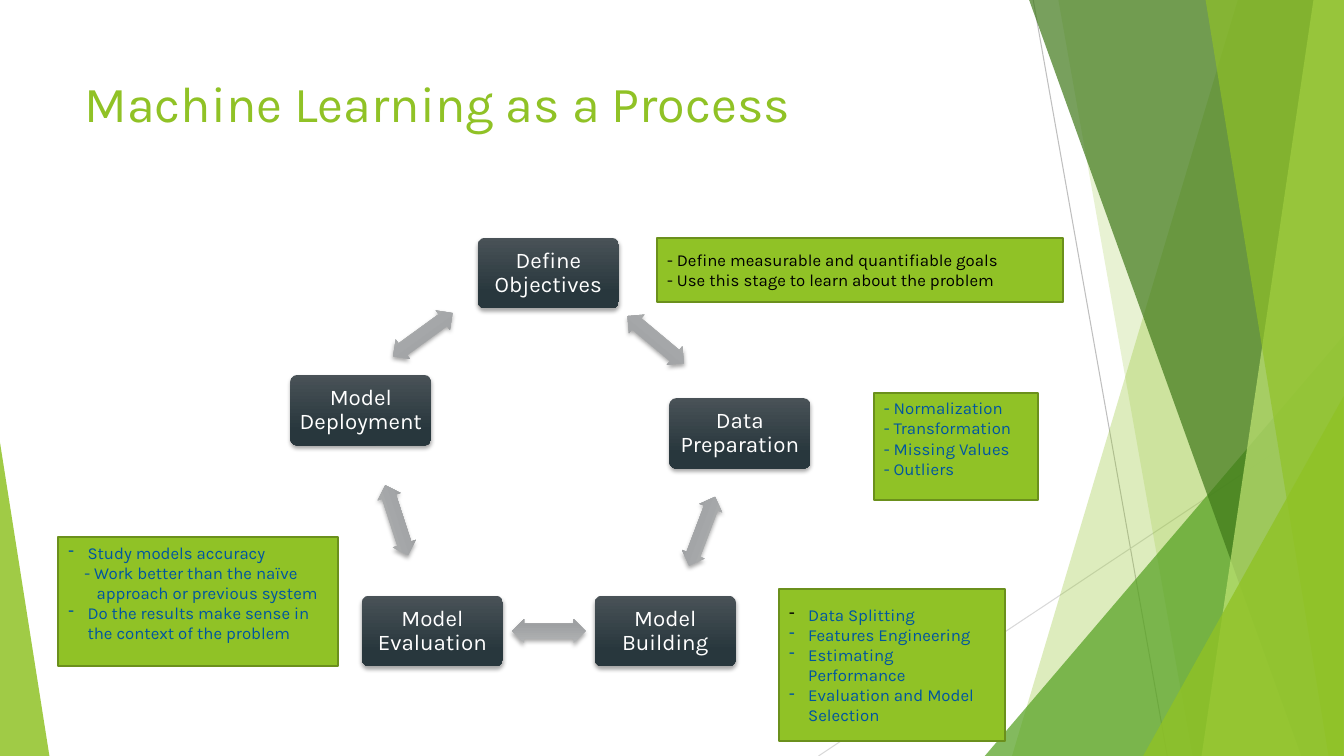
"""Build a slide on machine learning as a five-step cycle."""
from typing import NamedTuple

from lxml.etree import SubElement as Sub
from pptx import Presentation as Deck
from pptx.dml.color import RGBColor as Rgb
from pptx.enum.shapes import MSO_CONNECTOR as Link, MSO_SHAPE as Kind
from pptx.enum.text import MSO_ANCHOR as Anchor, PP_ALIGN as Align
from pptx.oxml.ns import qn
from pptx.util import Inches, Pt

COLS, ROWS = 133.33, 75
HUES = {
    "lime": "90C226", "leaf": "54A021", "moss": "3F7819", "pale": "C0E474",
    "edge": "6B901C", "blue": "0055A0", "black": "000000", "white": "FFFFFF",
    "slate": "495257", "ink": "28373D", "fog": "B1B3B4", "ash": "9EA0A2",
    "line": "BFBFBF", "faint": "D9D9D9",
}


class Box(NamedTuple):
    x: float
    y: float
    w: float
    h: float


class Ray(NamedTuple):
    x: float
    y: float
    end: float
    foot: float
    hue: str


class Sheet(NamedTuple):
    top: float
    foot: float
    hue: str
    share: int


class Wedge(NamedTuple):
    box: Box
    apex: float
    hue: str
    share: int


class Step(NamedTuple):
    text: str
    x: float
    y: float


class Arrow(NamedTuple):
    x: float
    y: float
    turn: float


class Line(NamedTuple):
    text: str
    hue: str = "blue"
    mark: str = ""
    left: float = 0


class Note(NamedTuple):
    box: Box
    anchor: Anchor
    lines: list[Line]


RAYS = [
    Ray(102.5, 0, 115.8, ROWS, "line"),
    Ray(COLS, 40.3, 81.2, ROWS, "faint"),
]
FACETS = [
    Sheet(122.8, 100.4, "lime", 30),
    Sheet(105, 118.3, "lime", 20),
    Wedge(Box(97.7, 33.3, 35.6, 41.7), 1, "leaf", 72),
    Sheet(102.1, 129.1, "moss", 70),
    Sheet(130.3, 119.2, "pale", 70),
    Sheet(119.6, 131.8, "lime", 65),
    Wedge(Box(113.4, 39.3, 19.9, 35.7), 1, "lime", 80),
    Wedge(Box(0, 43.9, 4.9, 31.1), 0, "lime", 85),
]
STEPS = [
    Step("Define Objectives", 47.4, 23.6),
    Step("Data Preparation", 66.4, 39.5),
    Step("Model Building", 59, 59.1),
    Step("Model Evaluation", 35.9, 59.1),
    Step("Model Deployment", 28.8, 37.2),
]
ARROWS = [
    Arrow(61.4, 32.5, 39.9),
    Arrow(66, 51.5, 110.7),
    Arrow(50.8, 61.4, 180),
    Arrow(35.7, 50.4, 252),
    Arrow(38.3, 32, 324),
]
NOTES = [
    Note(Box(65.2, 23.6, 40.3, 6.4), Anchor.MIDDLE, [
        Line("- Define measurable and quantifiable goals", "black"),
        Line("- Use this stage to learn about the problem", "black"),
    ]),
    Note(Box(86.7, 39, 16.3, 10.6), Anchor.TOP, [
        Line("- Normalization"),
        Line("- Transformation"),
        Line("- Missing Values"),
        Line("- Outliers"),
    ]),
    Note(Box(77.3, 58.4, 22.4, 15.1), Anchor.MIDDLE, [
        Line("Data Splitting", mark="black"),
        Line("Features Engineering", mark="blue"),
        Line("Estimating Performance", mark="blue"),
        Line("Evaluation and Model Selection", mark="blue"),
    ]),
    Note(Box(5.8, 53.3, 27.7, 12.8), Anchor.TOP, [
        Line("Study models accuracy", mark="blue"),
        Line("- Work better than the naïve", left=1.6),
        Line("approach or previous system", left=2.8),
        Line("Do the results make sense in the context of the problem", mark="blue"),
    ]),
]


def cell(span: float) -> int:
    return Inches(span / 10)


def tint(name: str) -> Rgb:
    return Rgb.from_string(HUES[name])


def fit(box: Box) -> list[int]:
    return [cell(side) for side in box]


def shape(page, kind: Kind, box: Box):
    item = page.shapes.add_shape(kind, *fit(box))
    item.shadow.inherit = False
    item.line.fill.background()
    return item


def write(para, text: str, size: float, hue: str) -> None:
    run = para.add_run()
    run.text = text
    for key, val in {"name": "Karla", "size": Pt(size), "bold": False}.items():
        setattr(run.font, key, val)
    run.font.color.rgb = tint(hue)


def glaze(item, hue: str, share: int) -> None:
    item.fill.solid()
    item.fill.fore_color.rgb = tint(hue)
    color = item.element.spPr.find(".//" + qn("a:srgbClr"))
    Sub(color, qn("a:alpha"), val=str(share * 1000))


def shade(item, top: str, low: str) -> None:
    item.fill.gradient()
    item.fill.gradient_angle = 270
    for stop, hue, place in zip(item.fill.gradient_stops, (top, low), (0, 0.78)):
        stop.color.rgb, stop.position = tint(hue), place
    list_ = item.element.spPr.find(qn("a:effectLst"))
    cast = Sub(list_, qn("a:outerShdw"), blurRad=str(Pt(3)), dist=str(Pt(2)),
               dir="5400000", algn="ctr", rotWithShape="0")
    color = Sub(cast, qn("a:srgbClr"), val=HUES["black"])
    Sub(color, qn("a:alpha"), val="35000")


def draw_ray(page, ray: Ray) -> None:
    item = page.shapes.add_connector(Link.STRAIGHT, *(cell(n) for n in ray[:4]))
    item.line.width, item.line.color.rgb = Pt(0.75), tint(ray.hue)
    Sub(item.element.spPr, qn("a:effectLst"))


def draw_facet(page, facet: Sheet | Wedge) -> None:
    if isinstance(facet, Wedge):
        item = shape(page, Kind.ISOSCELES_TRIANGLE, facet.box)
        item.adjustments[0] = facet.apex
    else:
        pen = page.shapes.build_freeform(cell(facet.top), 0)
        ends = [(COLS, 0), (COLS, ROWS), (facet.foot, ROWS)]
        pen.add_line_segments([(cell(x), cell(y)) for x, y in ends])
        item = pen.convert_to_shape()
        item.shadow.inherit = False
        item.line.fill.background()
    glaze(item, facet.hue, facet.share)


def draw_step(page, step: Step) -> None:
    item = shape(page, Kind.ROUNDED_RECTANGLE, Box(step.x, step.y, 14, 7))
    item.adjustments[0] = 0.1
    shade(item, "slate", "ink")
    frame = item.text_frame
    pad = cell(0.7)
    form = {"word_wrap": True, "vertical_anchor": Anchor.MIDDLE, "margin_left": pad,
            "margin_right": pad, "margin_top": pad, "margin_bottom": pad}
    for key, val in form.items():
        setattr(frame, key, val)
    para = frame.paragraphs[0]
    para.alignment, para.line_spacing = Align.CENTER, 0.9
    write(para, step.text, 16, "white")


def draw_arrow(page, arrow: Arrow) -> None:
    item = shape(page, Kind.LEFT_RIGHT_ARROW, Box(arrow.x, arrow.y, 7.3, 2.4))
    item.adjustments[0], item.adjustments[1] = 0.6, 0.5
    item.rotation = arrow.turn
    shade(item, "fog", "ash")


def draw_note(page, note: Note) -> None:
    item = shape(page, Kind.RECTANGLE, note.box)
    item.fill.solid()
    item.fill.fore_color.rgb = tint("lime")
    item.line.color.rgb, item.line.width = tint("edge"), Pt(1.5)
    frame = item.text_frame
    frame.word_wrap, frame.vertical_anchor = True, note.anchor
    for rank, line in enumerate(note.lines):
        para = frame.add_paragraph() if rank else frame.paragraphs[0]
        para.alignment = Align.LEFT
        props = para._p.get_or_add_pPr()
        if line.mark:
            props.set("marL", str(cell(1.9)))
            props.set("indent", str(-cell(1.9)))
            Sub(Sub(props, qn("a:buClr")), qn("a:srgbClr"), val=HUES[line.mark])
            Sub(props, qn("a:buChar"), char="-")
        elif line.left:
            props.set("marL", str(cell(line.left)))
        write(para, line.text, 12, line.hue)


def main() -> None:
    deck = Deck()
    deck.slide_width, deck.slide_height = cell(COLS), cell(ROWS)
    page = deck.slides.add_slide(deck.slide_layouts[6])
    for draw, items in ((draw_ray, RAYS), (draw_facet, FACETS)):
        for item in items:
            draw(page, item)
    title = page.shapes.add_textbox(*fit(Box(7.4, 6.7, 94, 14.4))).text_frame
    title.word_wrap = True
    write(title.paragraphs[0], "Machine Learning as a Process", 36, "lime")
    for draw, items in ((draw_step, STEPS), (draw_arrow, ARROWS), (draw_note, NOTES)):
        for item in items:
            draw(page, item)
    deck.save("out.pptx")


if __name__ == "__main__":
    main()
